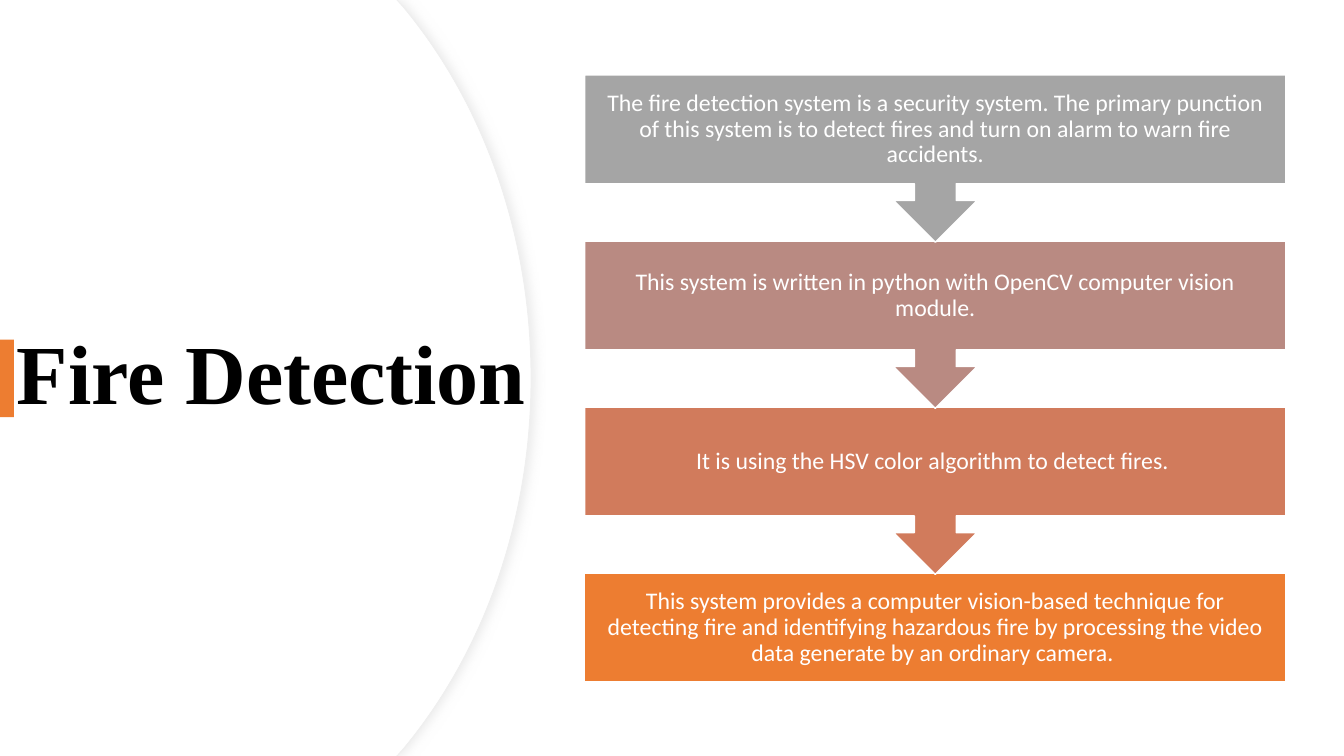
from lxml import etree
from pptx import Presentation
from pptx.dml.color import RGBColor
from pptx.enum.shapes import MSO_SHAPE as Preset
from pptx.enum.text import MSO_ANCHOR as Anchor, PP_ALIGN as Align
from pptx.oxml.ns import qn
from pptx.util import Pt

COLORS = {
    "white": "FFFFFF", "black": "000000", "outline": "EFEFEF", "shadow": "D9D9D9",
    "gray": "A5A5A5", "rose": "B98A82", "clay": "D17B5C", "orange": "ED7D31",
}
STEPS = [
    ("gray", "The fire detection system is a security system. The primary punction "
             "of this system is to detect fires and turn on alarm to warn fire accidents."),
    ("rose", "This system is written in python with OpenCV computer vision module."),
    ("clay", "It is using the HSV color algorithm to detect fires. "),
    ("orange", "This system provides a computer vision-based technique for detecting fire "
               "and identifying hazardous fire by processing the video data generate by "
               "an ordinary camera. "),
]


def color(name):
    return RGBColor.from_string(COLORS[name])


def paint(shape, fill, line=None, width=1):
    shape.shadow.inherit = False
    shape.fill.solid()
    shape.fill.fore_color.rgb = color(fill)
    if line:
        shape.line.color.rgb = color(line)
        shape.line.width = Pt(width)
    else:
        shape.line.fill.background()


def add_text(slide, box, text, size, font, ink, bold=False, align=Align.LEFT):
    frame = slide.shapes.add_textbox(*map(Pt, box)).text_frame
    frame.word_wrap = True
    frame.vertical_anchor = Anchor.MIDDLE
    paragraph = frame.paragraphs[0]
    paragraph.text = text
    paragraph.alignment = align
    paragraph.line_spacing = 0.9
    paragraph.font.size = Pt(size)
    paragraph.font.name = font
    paragraph.font.bold = bold
    paragraph.font.color.rgb = color(ink)
    return frame


def add_soft_shadow(shape):
    effects = shape._element.spPr.find(qn("a:effectLst"))
    shadow = etree.SubElement(effects, qn("a:outerShdw"), blurRad=str(Pt(7)),
                              dist=str(Pt(3)), dir="0", algn="l", rotWithShape="0")
    tint = etree.SubElement(shadow, qn("a:srgbClr"), val=COLORS["shadow"])
    etree.SubElement(tint, qn("a:alpha"), val="50000")


def bend(segment, controls):
    """Turn a straight path segment into a cubic curve."""
    curve = etree.Element(qn("a:cubicBezTo"))
    for x, y in controls:
        etree.SubElement(curve, qn("a:pt"), x=str(Pt(x)), y=str(Pt(y)))
    curve.append(segment[0])
    segment.getparent().replace(segment, curve)


def add_round_panel(slide, width, height):
    """White panel at the left edge, with a bulging right side."""
    corner, shoulder = width - 95.8, width - 90.7
    points = [(corner, 0), (shoulder, 5.76), (width, height / 2),
              (shoulder, height - 5.76), (corner, height), (0, height)]
    builder = slide.shapes.build_freeform(0, 0)
    builder.add_line_segments([(Pt(x), Pt(y)) for x, y in points], close=True)
    panel = builder.convert_to_shape()
    segments = list(panel._element.iter(qn("a:lnTo")))
    controls = [(width - 34.6, 73.4), (width, 167)]
    bend(segments[2], controls)
    bend(segments[3], [(x, height - y) for x, y in reversed(controls)])
    return panel


def add_title_side(slide, width, height):
    # Outlined panel with a shadow, then a plain one on top
    edge = add_round_panel(slide, width, height)
    paint(edge, "white", "outline", 0.75)
    add_soft_shadow(edge)
    paint(add_round_panel(slide, width - 0.7, height), "white")

    # Title
    add_text(slide, (5, 91.4, width + 33, 356.4), "Fire Detection", 60,
             "Times New Roman", "black", bold=True)

    # Accent bar
    bar = slide.shapes.add_shape(Preset.RECTANGLE, 0, Pt(242.6), Pt(10), Pt(55.4))
    paint(bar, "orange")


def add_step_flow(slide, left, top, width, height):
    """Callouts pointing down to a closing box, drawn from the last one up."""
    box_height = 77.8
    last = len(STEPS) - 1
    pitch = (height - box_height) / last
    for index, (fill, text) in reversed(list(enumerate(STEPS))):
        step_top = top + index * pitch
        closing = index == last
        preset = Preset.RECTANGLE if closing else Preset.UP_ARROW_CALLOUT
        step = slide.shapes.add_shape(preset, Pt(left), Pt(step_top), Pt(width),
                                      Pt(box_height if closing else pitch + 0.8))
        step.rotation = 0 if closing else 180
        paint(step, fill, "white")
        frame = add_text(slide, (left, step_top, width, box_height), text, 17,
                         "Calibri", "white", align=Align.CENTER)
        frame.margin_left = frame.margin_right = Pt(9.5)
        frame.margin_top = frame.margin_bottom = Pt(9.5)


def main():
    presentation = Presentation()
    presentation.slide_width, presentation.slide_height = Pt(960), Pt(540)
    slide = presentation.slides.add_slide(presentation.slide_layouts[6])
    add_title_side(slide, 379.4, 540)
    add_step_flow(slide, 417.6, 53.6, 500.9, 433.7)
    presentation.save("out.pptx")


if __name__ == "__main__":
    main()
